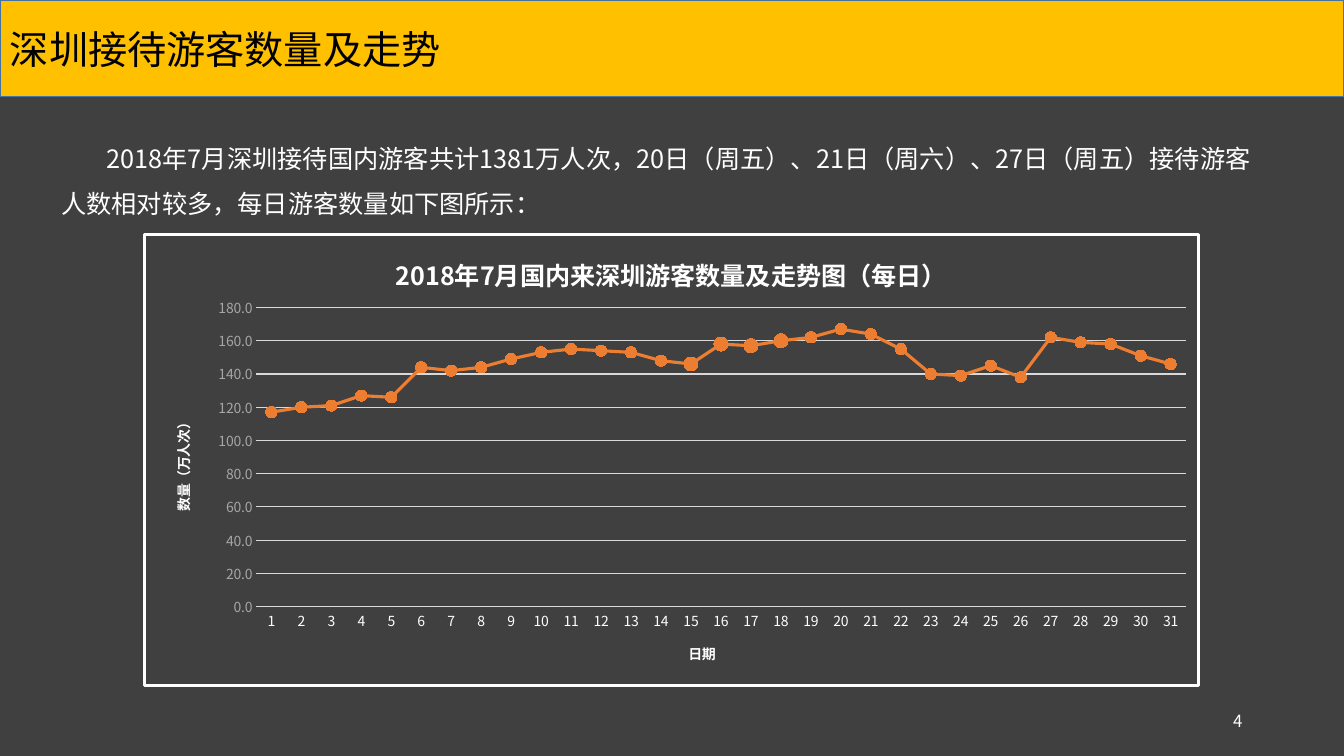
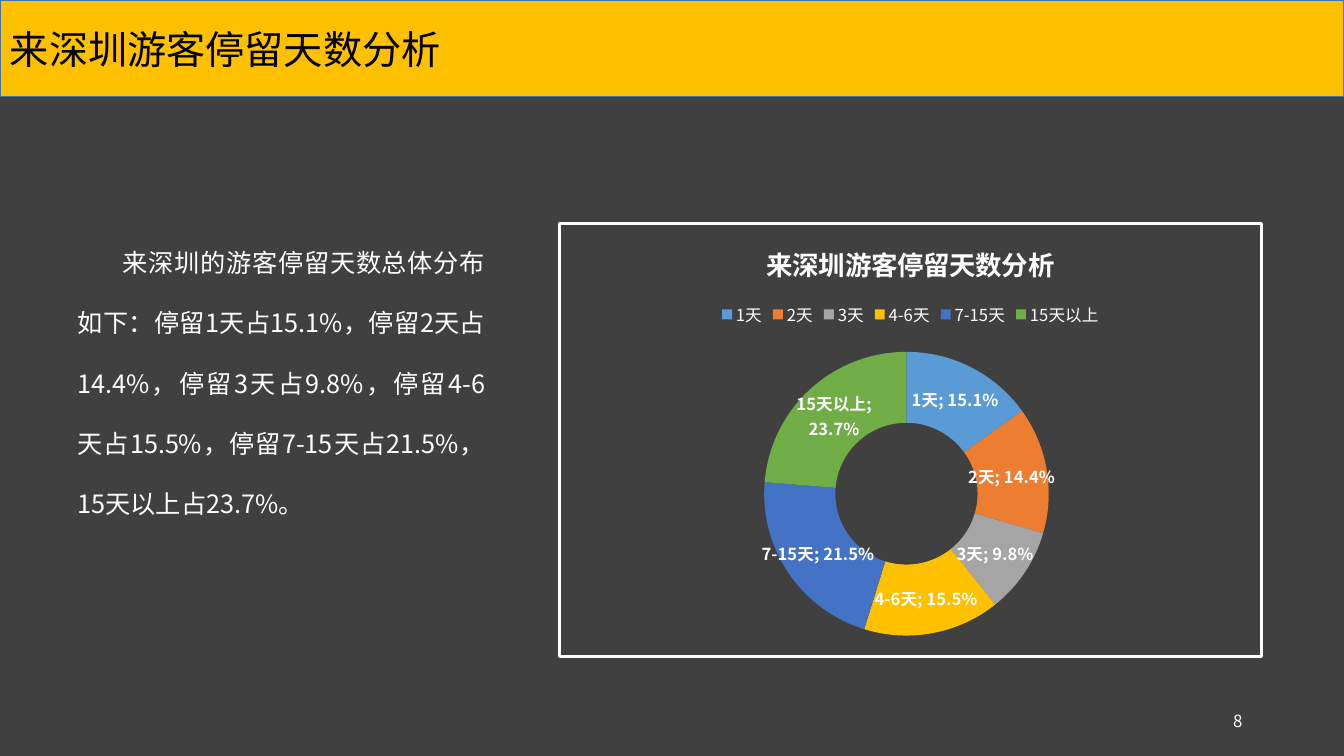
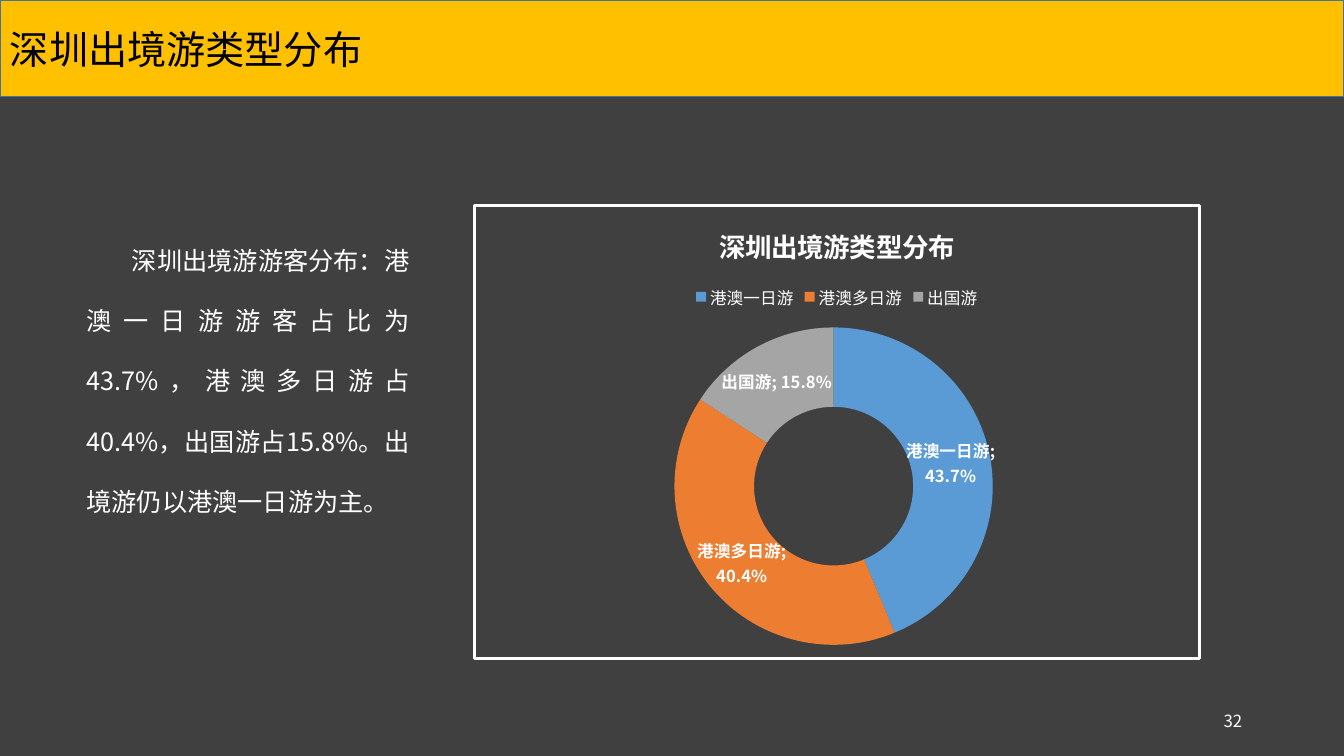
from lxml import etree
from pptx import Presentation
from pptx import util as u
from pptx.chart.data import CategoryChartData
from pptx.dml.color import RGBColor
from pptx.enum import chart as ch, shapes, text
from pptx.oxml import parse_xml
from pptx.oxml.ns import nsdecls, qn

Inches, Pt = u.Inches, u.Pt

# Shared style
FONT = "Noto Sans CJK SC"
DARK = RGBColor(0x40, 0x40, 0x40)
GOLD = RGBColor(0xFF, 0xC0, 0x00)
BAND_LINE = RGBColor(0x43, 0x73, 0x9E)
BLACK = RGBColor(0, 0, 0)
WHITE = RGBColor(0xFF, 0xFF, 0xFF)
GRID = RGBColor(0xD9, 0xD9, 0xD9)
TICK = RGBColor(0xA6, 0xA6, 0xA6)
BLUE = RGBColor(0x5B, 0x9B, 0xD5)
ORANGE = RGBColor(0xED, 0x7D, 0x31)
GRAY = RGBColor(0xA5, 0xA5, 0xA5)
INDIGO = RGBColor(0x44, 0x72, 0xC4)
GREEN = RGBColor(0x70, 0xAD, 0x47)
SLICES = [BLUE, ORANGE, GRAY, GOLD, INDIGO, GREEN]
SLIDE_W, SLIDE_H = 13.33, 7.5


def style(font, size, color, bold=False):
    values = {"name": FONT, "size": Pt(size), "bold": bold}
    for key, value in values.items():
        setattr(font, key, value)
    font.color.rgb = color


def east_asian(root):
    """Use the Latin typeface for East Asian text too."""
    for latin in list(root.iter(qn("a:latin"))):
        ea = etree.Element(qn("a:ea"))
        ea.set("typeface", latin.get("typeface"))
        latin.addnext(ea)


def add_text(s, box, words, size, align, anchor, indent=0, spacing=1.0):
    tf = s.shapes.add_textbox(*map(Inches, box)).text_frame
    tf.word_wrap, tf.vertical_anchor = True, anchor
    p = tf.paragraphs[0]
    p.alignment, p.line_spacing = align, spacing
    if indent:
        p._p.get_or_add_pPr().set("indent", str(Inches(indent)))
    r = p.add_run()
    r.text = words
    style(r.font, size, WHITE)


def add_body(s, box, words, spacing):
    add_text(s, box, words, 18, text.PP_ALIGN.JUSTIFY,
             text.MSO_ANCHOR.TOP, 0.45, spacing)


def add_frame(prs, title, number):
    """New slide with title band and page number."""
    s = prs.slides.add_slide(prs.slide_layouts[6])
    band = s.shapes.add_shape(shapes.MSO_SHAPE.RECTANGLE, 0, 0,
                              Inches(SLIDE_W), Inches(0.96))
    band.shadow.inherit = False
    band.fill.solid()
    band.fill.fore_color.rgb = GOLD
    band.line.color.rgb = BAND_LINE
    band.line.width = Pt(1)
    tf = band.text_frame
    tf.vertical_anchor = text.MSO_ANCHOR.MIDDLE
    p = tf.paragraphs[0]
    p.alignment = text.PP_ALIGN.LEFT
    r = p.add_run()
    r.text = title
    style(r.font, 28, BLACK)
    add_text(s, (9.42, 6.95, 3, 0.4), number, 12, text.PP_ALIGN.RIGHT,
             text.MSO_ANCHOR.MIDDLE)
    return s


def set_title(owner, words, size):
    """Title of a chart or of an axis."""
    r = owner.text_frame.paragraphs[0].add_run()
    r.text = words
    style(r.font, size, WHITE, True)


def add_chart(s, box, kind, title, title_size, cats, vals, fmt):
    data = CategoryChartData(number_format=fmt)
    data.categories = cats
    data.add_series("Series 1", vals)
    chart = s.shapes.add_chart(kind, *map(Inches, box), data).chart
    style(chart.font, 10, WHITE)
    chart.has_legend = False
    chart.has_title = True
    set_title(chart.chart_title, title, title_size)
    chart.chart_title.include_in_layout = False

    # White frame, square corners, no background
    space = chart.element
    for corners in space.findall(qn("c:roundedCorners")):
        space.remove(corners)
    space.find(qn("c:date1904")).addnext(
        parse_xml(f'<c:roundedCorners {nsdecls("c")} val="0"/>'))
    space.find(qn("c:chart")).addnext(parse_xml(
        f'<c:spPr {nsdecls("c", "a")}><a:noFill/><a:ln w="{Pt(2.25)}">'
        f'<a:solidFill><a:srgbClr val="{WHITE}"/></a:solidFill><a:round/>'
        '</a:ln></c:spPr>'))
    space.find(".//" + qn("c:plotArea")).append(parse_xml(
        f'<c:spPr {nsdecls("c", "a")}><a:noFill/><a:ln><a:noFill/></a:ln>'
        '</c:spPr>'))
    return chart


def place_plot(chart, x, y, w, h):
    area = chart.element.find(".//" + qn("c:plotArea"))
    for layout in area.findall(qn("c:layout")):
        area.remove(layout)
    modes = "".join(f'<c:{k} val="{v}"/>' for k, v in (
        ("layoutTarget", "inner"), ("xMode", "edge"), ("yMode", "edge"),
        ("x", x), ("y", y), ("w", w), ("h", h)))
    area.insert(0, parse_xml(
        f'<c:layout {nsdecls("c")}><c:manualLayout>{modes}'
        '</c:manualLayout></c:layout>'))


def style_marker(marker, size):
    marker.style = ch.XL_MARKER_STYLE.CIRCLE
    marker.size = size
    marker.format.fill.solid()
    marker.format.fill.fore_color.rgb = ORANGE
    marker.format.line.color.rgb = ORANGE


def style_line(fmt):
    fmt.line.color.rgb = ORANGE
    fmt.line.width = Pt(2.25)


def add_trend(s, box, title, vals):
    """Daily line chart."""
    days = [str(d) for d in range(1, len(vals) + 1)]
    chart = add_chart(s, box, ch.XL_CHART_TYPE.LINE_MARKERS, title, 18,
                      days, vals, "0.0")
    place_plot(chart, 0.106, 0.162, 0.882, 0.663)
    chart.plots[0].vary_by_categories = False
    line = chart.plots[0].series[0]
    line.smooth = False
    style_line(line.format)
    style_marker(line.marker, 8)
    # Larger markers on days 15 to 18
    for day in range(15, 19):
        point = line.points[day - 1]
        style_marker(point.marker, 10)
        style_line(point.format)

    cat, val = chart.category_axis, chart.value_axis
    for axis, words, color in ((cat, "日期", WHITE), (val, "数量（万人次）", TICK)):
        axis.has_title = True
        set_title(axis.axis_title, words, 10)
        axis.major_tick_mark = axis.minor_tick_mark = ch.XL_TICK_MARK.NONE
        style(axis.tick_labels.font, 10, color)
    val.minimum_scale, val.maximum_scale, val.major_unit = 0, 180, 20
    val.tick_labels.number_format = "0.0"
    val.tick_labels.number_format_is_linked = False
    val.format.line.fill.background()
    for rule in (cat.format.line, val.major_gridlines.format.line):
        rule.color.rgb = GRID
        rule.width = Pt(0.75)
    east_asian(chart.element)


def add_ring(s, box, title, shares):
    """Doughnut chart of shares by category."""
    chart = add_chart(s, box, ch.XL_CHART_TYPE.DOUGHNUT, title, 19,
                      list(shares), list(shares.values()), "0.0%")
    chart.has_legend = True
    chart.legend.position = ch.XL_LEGEND_POSITION.TOP
    chart.legend.include_in_layout = False
    style(chart.legend.font, 11.9, WHITE)
    plot = chart.plots[0]
    plot.vary_by_categories = True
    for i, color in zip(range(len(shares)), SLICES):
        part = plot.series[0].points[i].format
        part.fill.solid()
        part.fill.fore_color.rgb = color
        part.line.fill.background()
    plot.has_data_labels = True
    labels = plot.data_labels
    values = {"show_value": True, "show_category_name": True,
              "show_percentage": False, "show_legend_key": False,
              "number_format": "0.0%", "number_format_is_linked": False}
    for key, value in values.items():
        setattr(labels, key, value)
    style(labels.font, 11.9, WHITE, True)
    for bubble in chart.element.iter(qn("c:showBubbleSize")):
        bubble.addnext(parse_xml(
            f'<c:separator {nsdecls("c")}>; </c:separator>'))
    east_asian(chart.element)


def trend_slide(prs, title, number, words, chart_title, vals):
    s = add_frame(prs, title, number)
    add_trend(s, (1.42, 2.31, 10.48, 4.51), chart_title, vals)
    add_body(s, (0.51, 1.22, 11.99, 1.01), words, 1.5)


def ring_slide(prs, title, number, words, text_box, chart_box, shares):
    s = add_frame(prs, title, number)
    add_body(s, text_box, words, 2.0)
    add_ring(s, chart_box, title, shares)


def main():
    prs = Presentation()
    prs.slide_width, prs.slide_height = Inches(SLIDE_W), Inches(SLIDE_H)
    fill = prs.slide_master.background.fill
    fill.solid()
    fill.fore_color.rgb = DARK

    trend_slide(
        prs, "深圳接待游客数量及走势", "4",
        "2018年7月深圳接待国内游客共计1381万人次，20日（周五）、21日（周六）、"
        "27日（周五）接待游客人数相对较多，每日游客数量如下图所示：",
        "2018年7月国内来深圳游客数量及走势图（每日）",
        [117, 120, 121, 127, 126, 144, 142, 144, 149, 153, 155, 154, 153,
         148, 146, 158, 157, 160, 162, 167, 164, 155, 140, 139, 145, 138,
         162, 159, 158, 151, 146])
    ring_slide(
        prs, "来深圳游客停留天数分析", "8",
        "来深圳的游客停留天数总体分布如下：停留1天占15.1%，停留2天占14.4%，"
        "停留3天占9.8%，停留4-6天占15.5%，停留7-15天占21.5%，15天以上占23.7%。",
        (0.67, 2.1, 4.24, 3.13), (5.53, 2.2, 7, 4.33),
        {"1天": 0.151, "2天": 0.144, "3天": 0.098, "4-6天": 0.155,
         "7-15天": 0.215, "15天以上": 0.237})
    ring_slide(
        prs, "深圳出境游类型分布", "32",
        "深圳出境游游客分布：港澳一日游游客占比为43.7%，港澳多日游占40.4%，"
        "出国游占15.8%。出境游仍以港澳一日游为主。",
        (0.76, 2.08, 3.4, 3.13), (4.69, 2.02, 7.22, 4.53),
        {"港澳一日游": 0.437, "港澳多日游": 0.404, "出国游": 0.158})

    for s in prs.slides:
        east_asian(s.element)
    prs.save("out.pptx")


if __name__ == "__main__":
    main()
